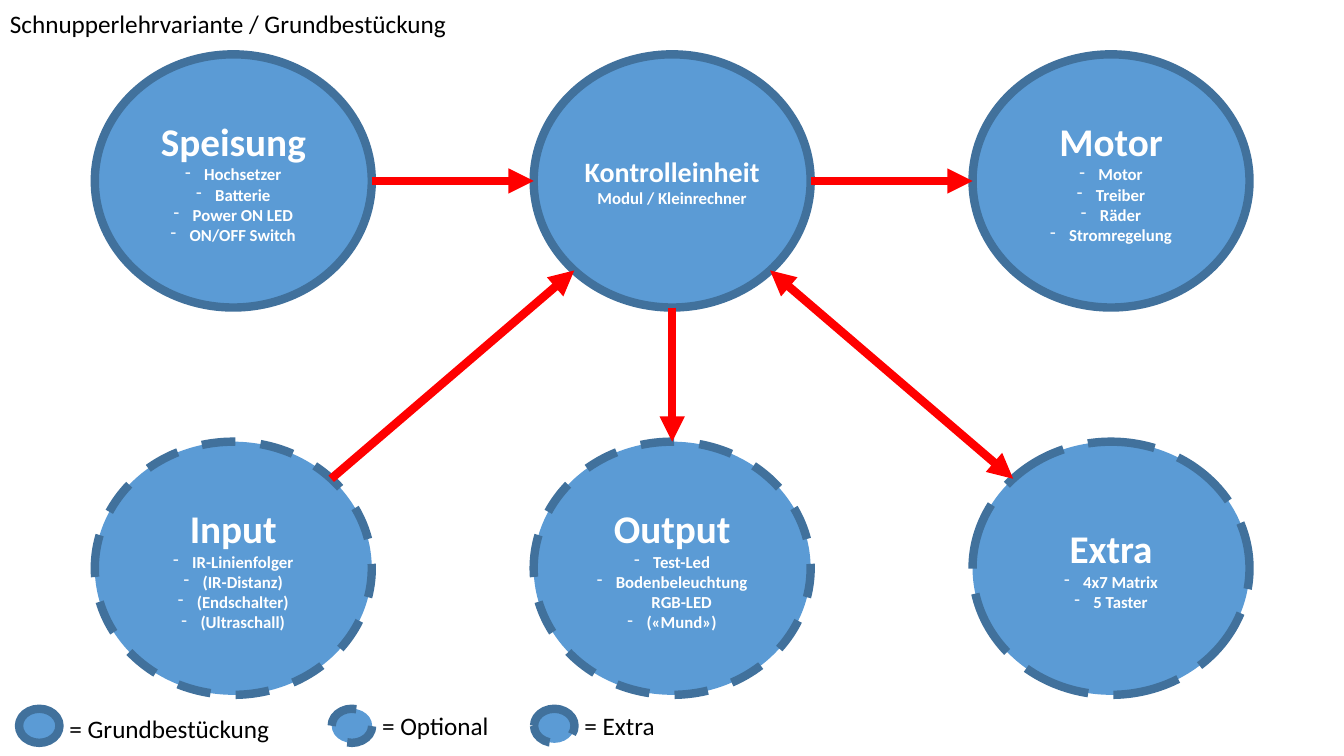
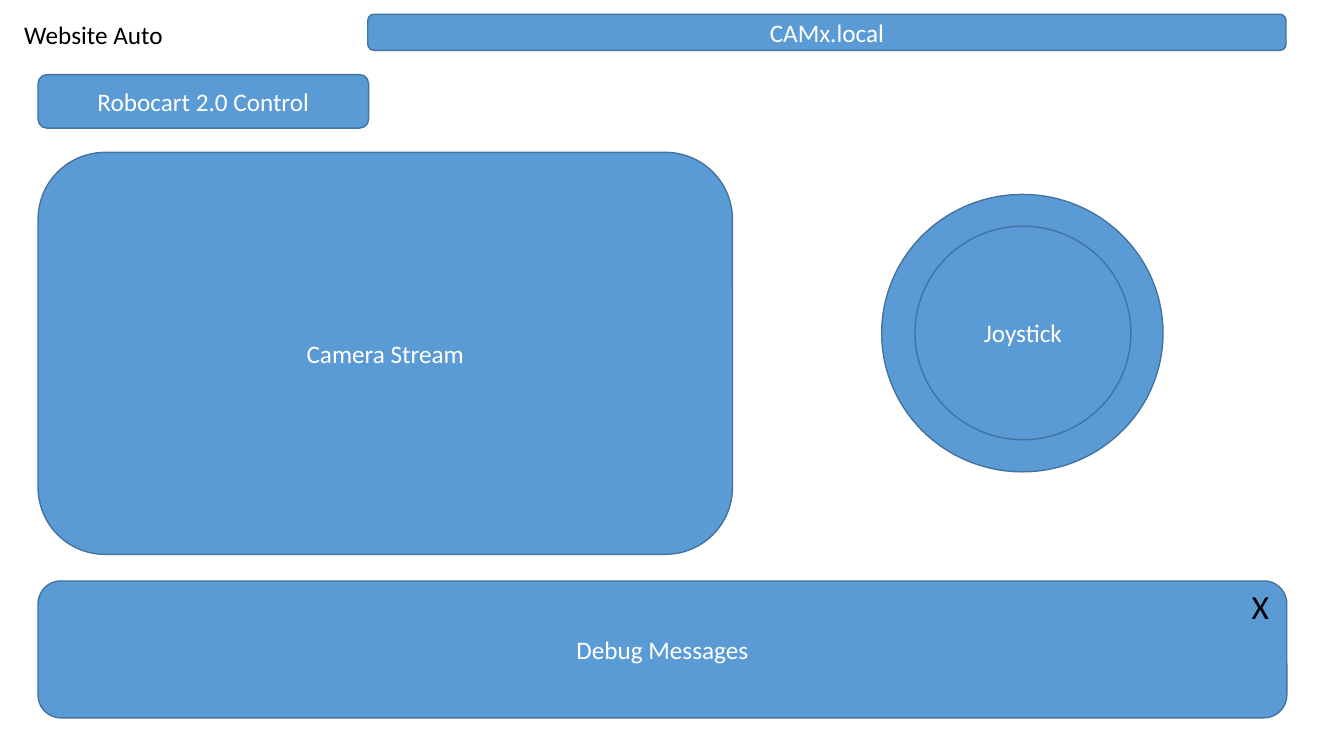
"""Build two slides: the module diagram of a robot car and its control web page."""
import dataclasses
import math

import pptx
import pptx.dml.color
import pptx.enum.dml
import pptx.enum.shapes
import pptx.enum.text
import pptx.oxml
import pptx.oxml.ns
import pptx.util

Cm = pptx.util.Cm
Pt = pptx.util.Pt
Color = pptx.dml.color.RGBColor
Shape = pptx.enum.shapes.MSO_SHAPE
Dash = pptx.enum.dml.MSO_LINE


@dataclasses.dataclass(frozen=True)
class Theme:
    """Hold the colours, type sizes and line widths of the deck."""

    font: str = "Calibri"
    fill: Color = Color(0x5B, 0x9B, 0xD5)
    module_line: Color = Color(0x41, 0x71, 0x9C)
    panel_line: Color = Color(0x43, 0x73, 0x9E)
    arrow: Color = Color(0xFF, 0x00, 0x00)
    light: Color = Color(0xFF, 0xFF, 0xFF)
    dark: Color = Color(0x00, 0x00, 0x00)
    heading: int = 28
    control: int = 20
    body: int = 18
    detail: int = 12
    close: int = 24
    thick: int = 6
    thin: int = 1


THEME = Theme()

COLUMNS = [2.39 + 11.06 * column for column in range(3)]
ROWS = [1.37, 11.13]
MODULE_WIDTH, MODULE_HEIGHT = 6.98, 6.38

MODULES = {
    "Speisung": (0, 0, None, ["Hochsetzer", "Batterie", "Power ON LED", "ON/OFF Switch"]),
    "Motor": (2, 0, None, ["Motor", "Treiber", "Räder", "Stromregelung"]),
    "Input": (0, 1, Dash.DASH,
              ["IR-Linienfolger", "(IR-Distanz)", "(Endschalter)", "(Ultraschall)"]),
    "Output": (1, 1, Dash.DASH, ["Test-Led", "Bodenbeleuchtung RGB-LED", "(«Mund»)"]),
    "Extra": (2, 1, Dash.LONG_DASH, ["4x7 Matrix", "5 Taster"]),
}

LEGEND = [
    (0.48, 17.86, 5.61, "= Grundbestückung", None),
    (8.36, 17.78, 3.23, "= Optional", Dash.DASH),
    (13.46, 17.78, 2.31, "= Extra", Dash.LONG_DASH),
]

PANELS = [
    (Shape.ROUNDED_RECTANGLE, (9.27, 0.36, 23.14, 0.91), "CAMx.local"),
    (Shape.ROUNDED_RECTANGLE, (0.96, 3.84, 17.5, 10.13), "Camera Stream"),
    (Shape.OVAL, (22.22, 4.9, 7.09, 6.99), ""),
    (Shape.OVAL, (23.06, 5.7, 5.44, 5.38), "Joystick"),
    (Shape.ROUNDED_RECTANGLE, (0.96, 14.64, 31.47, 3.45), "Debug Messages"),
    (Shape.ROUNDED_RECTANGLE, (0.96, 1.88, 8.33, 1.35), "Robocart 2.0 Control"),
]


def style_text(para, size, color, bold=False):
    """Format every run of a paragraph."""
    for span in para.runs:
        span.font.name = THEME.font
        span.font.size = Pt(size)
        span.font.color.rgb = color
        span.font.bold = bold


def add_bullet(para):
    """Give a paragraph a hanging dash."""
    properties = para._p.get_or_add_pPr()
    properties.set("marL", str(Cm(0.48)))
    properties.set("indent", str(-Cm(0.48)))
    pptx.oxml.ns.qn("a:buChar")
    for markup in ("<a:buFontTx %s/>", '<a:buChar %s char="-"/>'):
        properties.append(pptx.oxml.parse_xml(markup % pptx.oxml.ns.nsdecls("a")))


def add_figure(page, kind, area, line_color, line_width, dash=None):
    """Draw a filled, outlined preset shape."""
    figure = page.shapes.add_shape(kind, *map(Cm, area))
    figure.shadow.inherit = False
    figure.fill.solid()
    figure.fill.fore_color.rgb = THEME.fill
    figure.line.color.rgb = line_color
    figure.line.width = Pt(line_width)
    if dash:
        figure.line.dash_style = dash
    return figure


def write_centred(figure, lines):
    """Centre light text in a figure; lines hold text, size, boldness and bullet."""
    frame = figure.text_frame
    frame.word_wrap = True
    frame.vertical_anchor = pptx.enum.text.MSO_ANCHOR.MIDDLE
    frame.text = "\n".join(line[0] for line in lines)
    for para, (_, size, bold, bullet) in zip(frame.paragraphs, lines):
        para.alignment = pptx.enum.text.PP_ALIGN.CENTER
        style_text(para, size, THEME.light, bold)
        if bullet:
            add_bullet(para)


def add_label(page, area, text, size=THEME.body, wrap=False):
    """Place a dark text box that grows with its text."""
    box = page.shapes.add_textbox(*map(Cm, area))
    frame = box.text_frame
    frame.word_wrap = wrap
    frame.auto_size = pptx.enum.text.MSO_AUTO_SIZE.SHAPE_TO_FIT_TEXT
    frame.text = text
    style_text(frame.paragraphs[0], size, THEME.dark)


def add_module(page, column, row, lines, dash=None):
    """Draw one module circle in the grid."""
    area = (COLUMNS[column], ROWS[row], MODULE_WIDTH, MODULE_HEIGHT)
    circle = add_figure(page, Shape.OVAL, area, THEME.module_line, THEME.thick, dash)
    write_centred(circle, lines)


def rim_point(column, row, degrees):
    """Return the point on a module's rim, clockwise from the right."""
    angle = math.radians(degrees)
    return (COLUMNS[column] + MODULE_WIDTH / 2 * (1 + math.cos(angle)),
            ROWS[row] + MODULE_HEIGHT / 2 * (1 + math.sin(angle)))


def add_arrow(page, start, end, ends=("tailEnd",)):
    """Draw a thick arrow between two rim points."""
    arrow = page.shapes.add_connector(
        pptx.enum.shapes.MSO_CONNECTOR.STRAIGHT, *map(Cm, start + end))
    arrow.line.color.rgb = THEME.arrow
    arrow.line.width = Pt(THEME.thick)
    outline = arrow.line._get_or_add_ln()
    namespace = pptx.oxml.ns.nsdecls("a")
    for name in ends:
        outline.append(pptx.oxml.parse_xml(f'<a:{name} {namespace} type="triangle"/>'))
    arrow._element.spPr.append(pptx.oxml.parse_xml(f"<a:effectLst {namespace}/>"))


def build_diagram(page):
    """Draw the modules, their links and the legend."""
    for name, (column, row, dash, parts) in MODULES.items():
        lines = [(name, THEME.heading, True, False)]
        lines += [(part, THEME.detail, True, True) for part in parts]
        add_module(page, column, row, lines, dash)
    add_module(page, 1, 0, [("Kontrolleinheit", THEME.control, True, False),
                            ("Modul / Kleinrechner", THEME.detail, True, False)])

    add_arrow(page, rim_point(0, 0, 0), rim_point(1, 0, 180))
    add_arrow(page, rim_point(1, 0, 0), rim_point(2, 0, 180))
    add_arrow(page, rim_point(1, 0, 90), rim_point(1, 1, 270))
    add_arrow(page, rim_point(1, 0, 135), rim_point(0, 1, 315), ("headEnd",))
    add_arrow(page, rim_point(1, 0, 45), rim_point(2, 1, 225), ("headEnd", "tailEnd"))

    for left, label_top, label_width, text, dash in LEGEND:
        add_figure(page, Shape.OVAL, (left, 17.86, 1.02, 0.86),
                   THEME.module_line, THEME.thick, dash)
        add_label(page, (left + 1.02, label_top, label_width, 1.03), text)
    add_label(page, (0, 0.08, 11.63, 1.03), "Schnupperlehrvariante / Grundbestückung")


def build_website(page):
    """Draw the layout of the control web page."""
    for kind, area, text in PANELS:
        panel = add_figure(page, kind, area, THEME.panel_line, THEME.thin)
        if text:
            write_centred(panel, [(text, THEME.body, False, False)])
    add_label(page, (31.29, 14.64, 0.89, 1.28), "X", THEME.close, wrap=True)
    add_label(page, (0.36, 0.36, 4.04, 1.03), "Website Auto")


def main():
    """Build and save the deck."""
    deck = pptx.Presentation()
    deck.slide_width, deck.slide_height = Cm(33.87), Cm(19.05)
    for build in (build_diagram, build_website):
        build(deck.slides.add_slide(deck.slide_layouts[6]))
    deck.save("out.pptx")


main()
